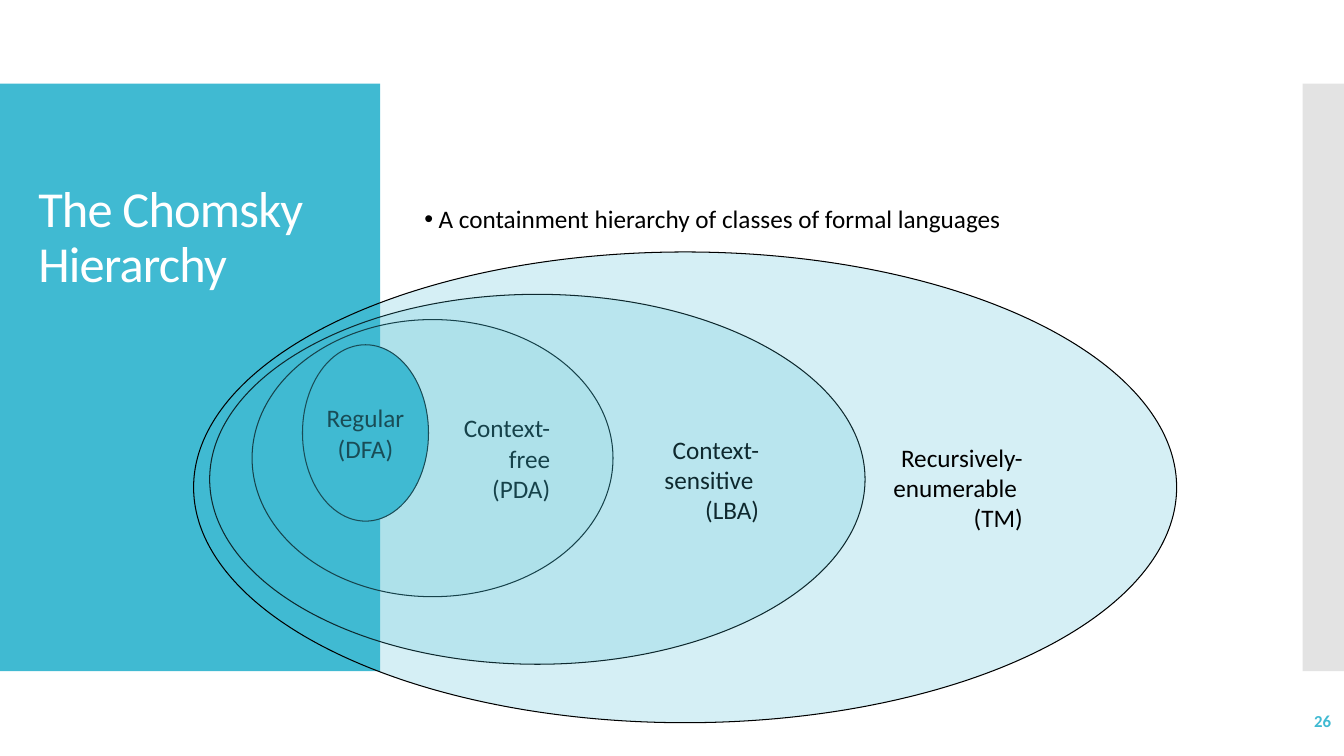
from dataclasses import dataclass

from lxml.etree import SubElement
from pptx import Presentation
from pptx.dml.color import RGBColor
from pptx.enum.shapes import MSO_SHAPE
from pptx.enum.text import MSO_ANCHOR, MSO_AUTO_SIZE, PP_ALIGN
from pptx.oxml.ns import qn
from pptx.util import Inches, Pt


@dataclass(frozen=True)
class Theme:
    font: str = "Calibri"
    accent: str = "40BAD2"
    edge: str = "C8C8C8"
    ink: str = "000000"
    paper: str = "FFFFFF"
    title_size: int = 36
    text_size: int = 18
    number_size: int = 12
    outline: float = 0.75


THEME = Theme()

LANGUAGE_CLASSES = [
    ((3, 3.42, 1.25, 1.75), 100, PP_ALIGN.CENTER, ["Regular", "(DFA)"]),
    ((2.5, 3.17, 3.58, 2.75), 9, PP_ALIGN.RIGHT, ["Context-", "free", "(PDA)"]),
    ((2.08, 2.92, 6.5, 3.67), 18, PP_ALIGN.RIGHT,
     ["Context-", "sensitive ", "(LBA)"]),
    ((1.92, 2.5, 9.75, 4.67), 22, PP_ALIGN.RIGHT,
     ["Recursively-", "enumerable ", "(TM)"]),
]


def add_run(paragraph, text, size, color, bold=False):
    run = paragraph.add_run()
    run.text = text
    run.font.name = THEME.font
    run.font.size = Pt(size)
    run.font.bold = bold
    run.font.color.rgb = RGBColor.from_string(color)
    return run


def add_filled(slide, kind, box, color, opacity=100):
    shape = slide.shapes.add_shape(kind, *map(Inches, box))
    shape.shadow.inherit = False
    shape.fill.solid()
    shape.fill.fore_color.rgb = RGBColor.from_string(color)
    if opacity < 100:
        tint = shape.fill._xPr.find(qn("a:solidFill"))[0]
        SubElement(tint, qn("a:alpha"), val=str(opacity * 1000))
    shape.line.fill.background()
    return shape


def add_panel(slide, box, color, opacity=100):
    add_filled(slide, MSO_SHAPE.RECTANGLE, box, color, opacity)


def add_language_class(slide, box, opacity, align, lines):
    ellipse = add_filled(slide, MSO_SHAPE.OVAL, box, THEME.accent, opacity)
    ellipse.line.color.rgb = RGBColor.from_string(THEME.ink)
    ellipse.line.width = Pt(THEME.outline)
    frame = ellipse.text_frame
    frame.word_wrap = False
    frame.vertical_anchor = MSO_ANCHOR.MIDDLE
    for index, line in enumerate(lines):
        paragraph = frame.add_paragraph() if index else frame.paragraphs[0]
        paragraph.alignment = align
        add_run(paragraph, line, THEME.text_size, THEME.ink)


def place_on_top(slide, placeholder, box):
    slide.shapes._spTree.append(placeholder._element)
    placeholder.left, placeholder.top, placeholder.width, placeholder.height = map(
        Inches, box)
    frame = placeholder.text_frame
    frame.auto_size = MSO_AUTO_SIZE.NONE
    frame.vertical_anchor = MSO_ANCHOR.TOP
    paragraph = frame.paragraphs[0]
    paragraph.alignment = PP_ALIGN.LEFT
    paragraph.space_before = Pt(0)
    return frame


def set_title(slide, text):
    frame = place_on_top(slide, slide.shapes.title, (0.28, 1.23, 3.22, 5.03))
    frame.word_wrap = True
    frame.margin_top = Inches(0.6)
    frame.paragraphs[0].line_spacing = 0.9
    run = add_run(frame.paragraphs[0], text, THEME.title_size, THEME.paper)
    run.font._element.set("spc", "-60")


def set_bullet(slide, text):
    frame = place_on_top(slide, slide.placeholders[1], (4.11, 1.97, 6.1, 0.4))
    frame.word_wrap = False
    paragraph = frame.paragraphs[0]
    properties = paragraph._p.get_or_add_pPr()
    properties.set("marL", str(Inches(0.14)))
    properties.set("indent", str(-Inches(0.14)))
    SubElement(properties, qn("a:buChar"), char="•")
    add_run(paragraph, text, THEME.text_size, THEME.ink)


def add_slide_number(slide, number):
    box = slide.shapes.add_textbox(*map(Inches, (11.63, 6.95, 1.67, 0.4)))
    frame = box.text_frame
    frame.word_wrap = True
    frame.vertical_anchor = MSO_ANCHOR.MIDDLE
    frame.paragraphs[0].alignment = PP_ALIGN.RIGHT
    add_run(frame.paragraphs[0], number, THEME.number_size, THEME.accent, bold=True)


def main():
    deck = Presentation()
    deck.slide_width = Inches(13.33)
    deck.slide_height = Inches(7.5)
    slide = deck.slides.add_slide(deck.slide_layouts[1])
    add_panel(slide, (0, 0.83, 3.77, 5.83), THEME.accent)
    add_panel(slide, (12.92, 0.83, 0.41, 5.83), THEME.edge, 50)
    add_slide_number(slide, "26")
    set_title(slide, "The Chomsky Hierarchy")
    for language_class in LANGUAGE_CLASSES:
        add_language_class(slide, *language_class)
    set_bullet(slide, "A containment hierarchy of classes of formal languages")
    deck.save("out.pptx")


if __name__ == "__main__":
    main()
